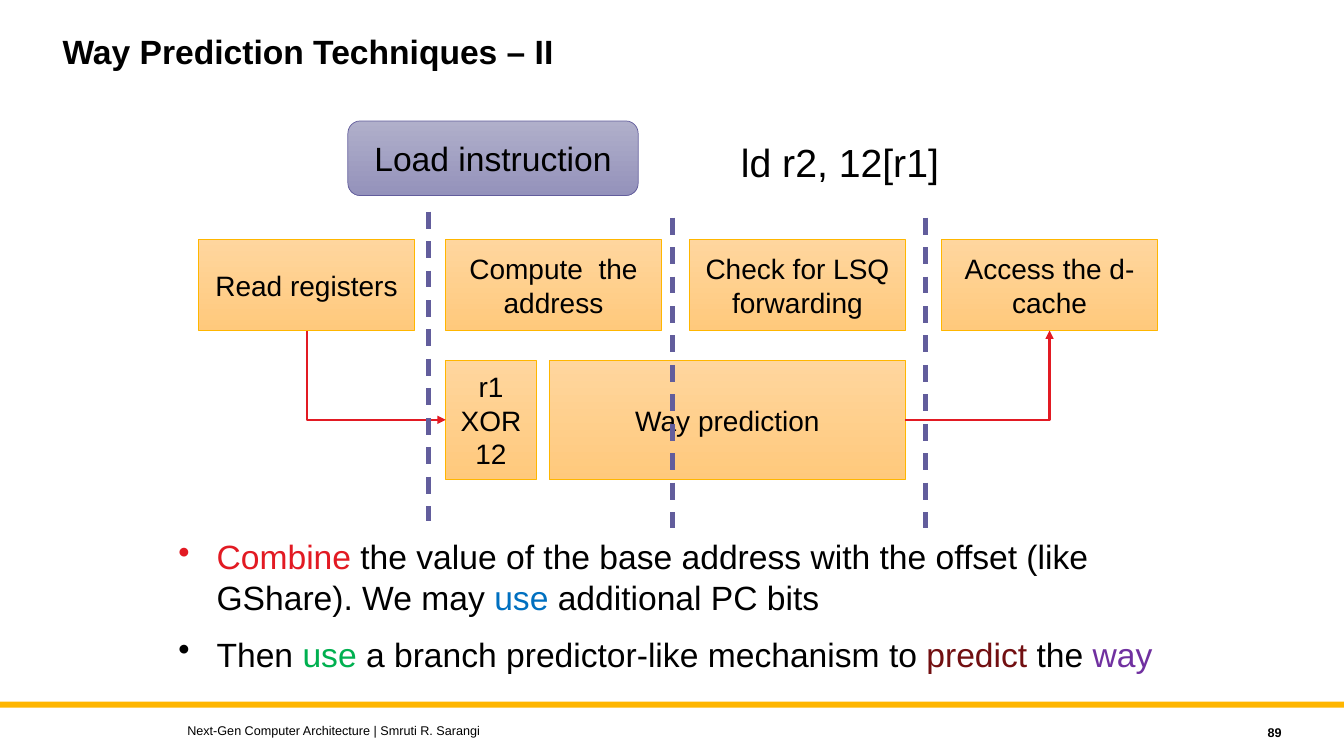
from pptx import Presentation
from pptx.dml.color import RGBColor
from pptx.enum.dml import MSO_LINE
from pptx.enum.shapes import MSO_CONNECTOR as LINK, MSO_SHAPE as SHAPE
from pptx.enum.text import MSO_ANCHOR as ANCHOR, PP_ALIGN as ALIGN
from pptx.oxml.ns import qn
from pptx.oxml.xmlchemy import OxmlElement
from pptx.util import Inches, Pt

BLACK = RGBColor(0x00, 0x00, 0x00)
RED = RGBColor(0xE2, 0x1A, 0x23)
BLUE = RGBColor(0x00, 0x70, 0xC0)
GREEN = RGBColor(0x00, 0xB0, 0x50)
MAROON = RGBColor(0x72, 0x0F, 0x11)
PURPLE = RGBColor(0x70, 0x30, 0xA0)
AMBER = RGBColor(0xFF, 0xB6, 0x00)
VIOLET = RGBColor(0x62, 0x5D, 0x9C)
ORANGE_FADE = RGBColor(0xFF, 0xD6, 0x9E), RGBColor(0xFF, 0xC9, 0x7C)
VIOLET_FADE = RGBColor(0xB0, 0xAF, 0xCA), RGBColor(0x94, 0x92, 0xBB)

COLUMNS, ROWS = 133.3, 75
TOP, LEFT, BOTTOM, RIGHT = range(4)  # connection sites of a rectangle


class Diagram:
    """Draws on one slide; places are columns and rows of a 133.3 x 75 grid."""

    font = "Arial"

    def __init__(self, deck):
        self.column = deck.slide_width / COLUMNS
        self.row = deck.slide_height / ROWS
        self.slide = deck.slides.add_slide(deck.slide_layouts[5])
        self.shapes = self.slide.shapes

    def place(self, x, y, width, height):
        return (round(x * self.column), round(y * self.row),
                round(width * self.column), round(height * self.row))

    def add_text(self, paragraph, text, size, color=BLACK, bold=False):
        run = paragraph.add_run()
        run.text = text
        run.font.name, run.font.size = self.font, Pt(size)
        run.font.color.rgb, run.font.bold = color, bold

    def title(self, text, *place):
        title = self.shapes.title
        title.left, title.top, title.width, title.height = self.place(*place)
        title.text_frame.vertical_anchor = ANCHOR.TOP
        paragraph = title.text_frame.paragraphs[0]
        paragraph.alignment, paragraph.line_spacing = ALIGN.LEFT, 0.9
        self.add_text(paragraph, text, 24, bold=True)

    def frame(self, place, anchor=ANCHOR.TOP):
        frame = self.shapes.add_textbox(*self.place(*place)).text_frame
        frame.word_wrap, frame.vertical_anchor = True, anchor
        return frame

    def label(self, text, *place, size=9, anchor=ANCHOR.MIDDLE, align=ALIGN.LEFT, bold=False):
        paragraph = self.frame(place, anchor).paragraphs[0]
        paragraph.alignment = align
        self.add_text(paragraph, text, size, bold=bold)

    def bullets(self, points, *place):
        """Each point is a list of (text, color) pieces."""
        frame = self.frame(place)
        for number, pieces in enumerate(points):
            paragraph = frame.add_paragraph() if number else frame.paragraphs[0]
            if number:
                paragraph.space_before = Pt(12)
            properties = paragraph._p.get_or_add_pPr()
            properties.set("marL", str(Inches(0.38)))
            properties.set("indent", str(-Inches(0.38)))
            bullet = OxmlElement("a:buChar")
            bullet.set("char", "•")
            properties.append(bullet)
            for text, color in pieces:
                self.add_text(paragraph, text, 24, color)

    def bar(self, color, *place):
        bar = self.shapes.add_shape(SHAPE.RECTANGLE, *self.place(*place))
        bar.shadow.inherit = False
        bar.fill.solid()
        bar.fill.fore_color.rgb = color
        bar.line.fill.background()

    def block(self, text, *place, kind=SHAPE.RECTANGLE, fade=ORANGE_FADE, edge=AMBER, size=20):
        block = self.shapes.add_shape(kind, *self.place(*place))
        block.shadow.inherit = False
        block.fill.gradient()
        block.fill.gradient_angle = 270
        for stop, color in zip(block.fill.gradient_stops, fade):
            stop.color.rgb = color
        block.line.color.rgb, block.line.width = edge, Pt(0.5)
        block.text_frame.word_wrap = True
        block.text_frame.vertical_anchor = ANCHOR.MIDDLE
        paragraph = block.text_frame.paragraphs[0]
        paragraph.alignment = ALIGN.CENTER
        self.add_text(paragraph, text, size)
        return block

    def link(self, kind, ends, color, width):
        link = self.shapes.add_connector(kind, *ends)
        link._element.spPr.append(OxmlElement("a:effectLst"))
        link.line.color.rgb, link.line.width = color, Pt(width)
        return link

    def stage_border(self, x, top, bottom):
        border = self.link(LINK.STRAIGHT, self.place(x, top, x, bottom), VIOLET, 3)
        border.line.dash_style = MSO_LINE.DASH

    def elbow(self, source, source_site, target, target_site):
        """Arrow with one corner; leaving from the bottom, it goes down first."""
        arrow = self.link(LINK.ELBOW, (0, 0, 0, 0), RED, 1.5)
        arrow.begin_connect(source, source_site)
        arrow.end_connect(target, target_site)
        properties = arrow._element.spPr
        properties.find(qn("a:prstGeom")).set("prst", "bentConnector2")
        head = OxmlElement("a:tailEnd")
        head.set("type", "triangle")
        properties.find(qn("a:ln")).append(head)
        if source_site == BOTTOM:
            shift = (arrow.width - arrow.height) // 2
            arrow.left, arrow.top = arrow.left + shift, arrow.top - shift
            arrow.width, arrow.height = arrow.height, arrow.width
            turn = properties.find(qn("a:xfrm"))
            turn.set("rot", str(270 * 60000))
            turn.set("flipH", "1")


def main():
    deck = Presentation()
    deck.slide_width, deck.slide_height = Inches(13.33), Inches(7.5)
    diagram = Diagram(deck)

    diagram.bar(AMBER, 0, 69.6, COLUMNS, 0.6)
    diagram.title("Way Prediction Techniques – II", 5.2, 3, 100, 9)
    diagram.bullets([
        [("Combine", RED),
         (" the value of the base address with the offset (like GShare). We may ", BLACK),
         ("use", BLUE), (" additional PC bits", BLACK)],
        [("Then ", BLACK), ("use", GREEN),
         (" a branch predictor-like mechanism to ", BLACK),
         ("predict", MAROON), (" the ", BLACK), ("way", PURPLE)],
    ], 16.7, 52.7, 102.5, 16.2)
    diagram.label("Next-Gen Computer Architecture | Smruti R. Sarangi", 17.6, 71.2, 80, 2.5)
    diagram.label("89", 114.1, 71.4, 14, 2.5, align=ALIGN.RIGHT, bold=True)

    diagram.block("Load instruction", 34.5, 12, 28.8, 7.4, kind=SHAPE.ROUNDED_RECTANGLE,
                  fade=VIOLET_FADE, edge=VIOLET, size=24)
    diagram.label("ld r2, 12[r1]", 72.5, 13.2, 35, 5.7, size=28, anchor=ANCHOR.TOP)

    stages = [("Read registers", 19.7), ("Compute  the address", 44.2),
              ("Check for LSQ forwarding", 68.4), ("Access the d-cache", 93.4)]
    read, _, _, access = [diagram.block(stage, x, 23.8, 21.4, 9) for stage, x in stages]
    xor = diagram.block("r1 XOR 12", 44.2, 35.7, 9, 11.9)
    prediction = diagram.block("Way prediction", 54.5, 35.7, 35.3, 11.9)
    diagram.elbow(read, BOTTOM, xor, LEFT)
    diagram.elbow(prediction, RIGHT, access, BOTTOM)

    for x, top, bottom in [(42.5, 21, 51.7), (66.7, 21.6, 52.4), (91.8, 21.6, 52.4)]:
        diagram.stage_border(x, top, bottom)

    deck.save("out.pptx")


if __name__ == "__main__":
    main()
